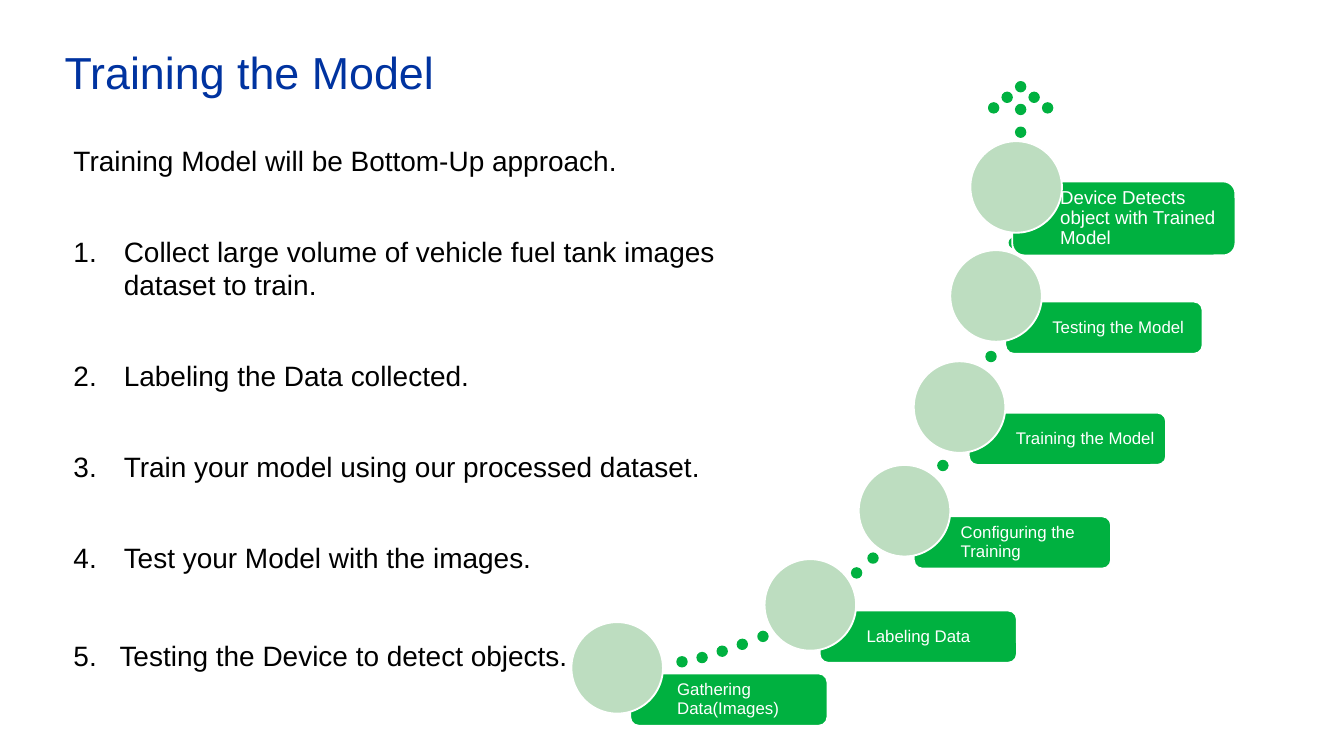
from dataclasses import dataclass

from lxml import etree
from pptx import Presentation
from pptx.dml.color import RGBColor
from pptx.enum.shapes import MSO_SHAPE
from pptx.enum.text import MSO_ANCHOR, PP_ALIGN
from pptx.oxml.ns import qn
from pptx.util import Cm, Pt

OVAL, ROUND = MSO_SHAPE.OVAL, MSO_SHAPE.ROUNDED_RECTANGLE
TOP, MIDDLE = MSO_ANCHOR.TOP, MSO_ANCHOR.MIDDLE
LEFT = PP_ALIGN.LEFT


@dataclass(frozen=True)
class Theme:
    font: str = "Arial"
    blue: str = "0033A0"
    green: str = "00B140"
    pale: str = "BDDDC0"
    white: str = "FFFFFF"
    black: str = "000000"
    head: int = 24
    body: int = 15
    label: int = 9
    large: int = 10


def write(frame, text, size, color, font, first=True, before=0,
          lines=1.0, indent=0):
    """Add a paragraph; an indent makes it a numbered one."""
    para = frame.paragraphs[0] if first else frame.add_paragraph()
    para.alignment = LEFT
    para.space_before = Pt(before)
    para.line_spacing = lines
    run = para.add_run()
    run.text = text
    run.font.name = font
    run.font.size = Pt(size)
    run.font.color.rgb = RGBColor.from_string(color)
    if indent:
        props = para._p.get_or_add_pPr()
        props.set("marL", str(Cm(indent)))
        props.set("indent", str(-Cm(indent)))
        etree.SubElement(props, qn("a:buAutoNum"), type="arabicPeriod")


class Deck:
    def __init__(self, theme, width, height):
        self.theme = theme
        self.file = Presentation()
        self.file.slide_width, self.file.slide_height = Cm(width), Cm(height)
        self.slide = self.file.slides.add_slide(self.file.slide_layouts[6])

    def frame(self, shape, insets, anchor):
        frame = shape.text_frame
        frame.word_wrap = True
        frame.vertical_anchor = anchor
        (frame.margin_left, frame.margin_top,
         frame.margin_right, frame.margin_bottom) = map(Cm, insets)
        return frame

    def box(self, x, y, w, h, insets):
        shape = self.slide.shapes.add_textbox(Cm(x), Cm(y), Cm(w), Cm(h))
        return self.frame(shape, insets, TOP)

    def shape(self, kind, x, y, w, h, fill, line):
        shape = self.slide.shapes.add_shape(kind, Cm(x), Cm(y), Cm(w), Cm(h))
        shape.shadow.inherit = False
        shape.fill.solid()
        shape.fill.fore_color.rgb = RGBColor.from_string(fill)
        shape.line.color.rgb = RGBColor.from_string(line)
        shape.line.width = Pt(1)
        return shape

    def dot(self, x, y):
        self.shape(OVAL, x, y, 0.18, 0.18, self.theme.green, self.theme.green)

    def step(self, text, x, y, dx=1.04, dy=0.97, w=3.73, h=0.99, size=None):
        """Draw a label with its circle, placed at x, y, on top."""
        look = self.theme
        label = self.shape(ROUND, x + dx, y + dy, w, h, look.green, look.white)
        frame = self.frame(label, (0.84, 0.15, 0.15, 0.15), MIDDLE)
        write(frame, text, size or look.label, look.white, look.font,
              lines=0.9)
        self.shape(OVAL, x, y, 1.73, 1.73, look.pale, look.white)


def main():
    look = Theme()
    deck = Deck(look, 25.4, 14.29)

    # Title
    write(deck.box(1.22, 0.97, 22.96, 1.14, (0, 0, 0, 0)),
          "Training the Model", look.head, look.blue, look.font, lines=0.9)

    # Dotted trail between the circles
    trail = [(14.33, 11.94), (13.94, 12.09), (13.56, 12.22), (13.18, 12.34),
             (12.8, 12.42), (16.41, 10.46), (16.1, 10.74), (17.73, 8.71),
             (18.64, 6.65), (19.08, 4.5)]
    for x, y in trail:
        deck.dot(x, y)

    # Dotted arrow: head, then stem
    tip_x, tip_y = 19.2, 1.55
    for i in range(-2, 3):
        deck.dot(tip_x + 0.255 * i, tip_y + 0.2 * abs(i))
    for i in (1, 2):
        deck.dot(tip_x, tip_y + 0.43 * i)

    # Steps, from the bottom up
    deck.step("Gathering Data(Images)", 10.8, 11.76, dx=1.11)
    deck.step("Labeling Data", 14.45, 10.57)
    deck.step("Configuring the Training", 16.23, 8.79)
    deck.step("Training the Model", 17.27, 6.83)
    deck.step("Testing the Model", 17.96, 4.73)
    deck.step("Device Detects object with Trained Model", 18.34, 2.67,
              dx=0.79, dy=0.76, w=4.22, h=1.4, size=look.large)

    # Numbered list
    body = deck.box(1.14, 2.58, 13.92, 10.67, (0.25, 0.13, 0.25, 0.13))
    style = (look.body, look.black, look.font)
    write(body, "Training Model will be Bottom-Up approach.", *style)
    tasks = ["Collect large volume of vehicle fuel tank images dataset to train.",
             "Labeling the Data collected.",
             "Train your model using our processed dataset.",
             "Test your Model with the images."]
    for task in tasks:
        write(body, task, *style, first=False, before=30.7, indent=0.95)
    write(body, "Testing the Device to detect objects.", *style,
          first=False, before=34.7, indent=0.87)

    deck.file.save("out.pptx")


if __name__ == "__main__":
    main()
